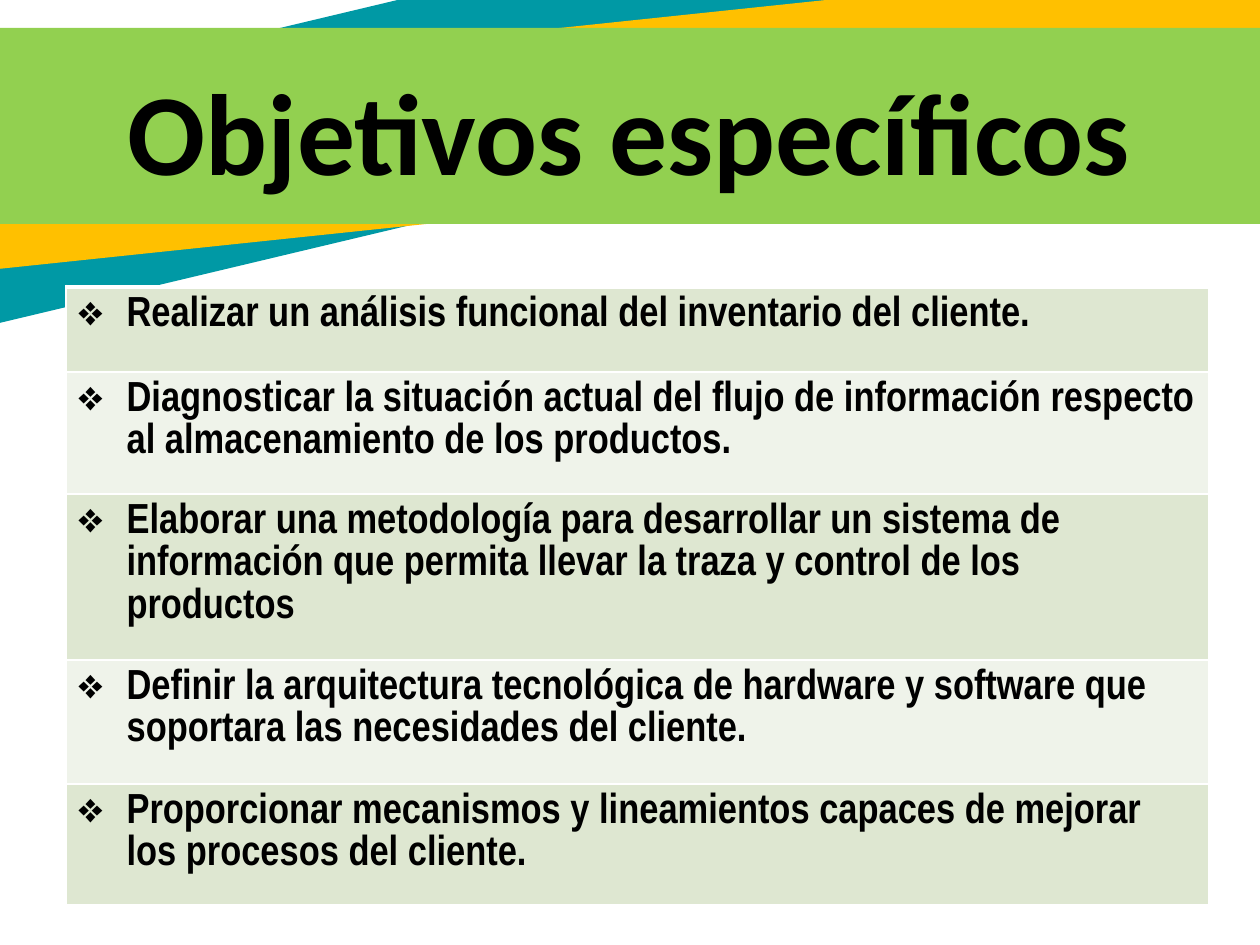
from dataclasses import dataclass, field

from lxml.etree import SubElement
from pptx import Presentation
from pptx.dml.color import RGBColor
from pptx.enum.shapes import MSO_SHAPE
from pptx.enum.text import MSO_ANCHOR, MSO_AUTO_SIZE, PP_ALIGN
from pptx.oxml.ns import qn
from pptx.slide import Slide
from pptx.table import _Cell as Cell
from pptx.util import Emu, Pt

PX = 914400 / 126


@dataclass(frozen=True)
class Theme:
    teal: str = "0099A5"
    amber: str = "FFC000"
    green: str = "92D050"
    white: str = "FFFFFF"
    row_fills: tuple[str, str] = ("DEE7D1", "EFF3EA")
    title_font: dict = field(default_factory=lambda: {
        "name": "Calibri", "size": Pt(66), "bold": True})
    objective_font: dict = field(default_factory=lambda: {
        "name": "Arial Narrow", "size": Pt(24), "bold": True})
    text: str = "000000"


@dataclass(frozen=True)
class Band:
    left: int
    top: int
    width: int
    height: int
    rotation: float
    color: str


@dataclass(frozen=True)
class Objective:
    top: int
    height: int
    text: str
    top_border: int = 1


THEME = Theme()
TABLE_LEFT, TABLE_WIDTH, BULLET_INDENT = 66, 1143, 48

BANDS = (
    Band(-316, -23, 1646, 222, 346.6, THEME.teal),
    Band(-139, 25, 1465, 181, 354, THEME.amber),
    Band(-134, 28, 1465, 196, 0, THEME.green),
)
OBJECTIVES = (
    Objective(287, 87, "Realizar un análisis funcional del inventario del cliente.", 3),
    Objective(372, 126, "Diagnosticar la situación actual del flujo de información "
              "respecto al almacenamiento de los productos."),
    Objective(494, 219, "Elaborar una metodología para desarrollar un sistema de "
              "información que permita llevar la traza y control de los productos"),
    Objective(660, 127, "Definir la arquitectura tecnológica de hardware y software "
              "que soportara las necesidades del cliente."),
    Objective(784, 115, "Proporcionar mecanismos y lineamientos capaces de mejorar "
              "los procesos del cliente."),
)


def px(value: int) -> Emu:
    return Emu(round(value * PX))


def box(left: int, top: int, width: int, height: int) -> tuple[Emu, ...]:
    return px(left), px(top), px(width), px(height)


def apply_format(target: object, values: dict) -> None:
    for name, value in values.items():
        setattr(target, name, value)


def format_font(font: object, values: dict) -> None:
    apply_format(font, values)
    font.color.rgb = RGBColor.from_string(THEME.text)


def draw_band(slide: Slide, band: Band) -> None:
    shape = slide.shapes.add_shape(
        MSO_SHAPE.RECTANGLE, *box(band.left, band.top, band.width, band.height))
    shape.rotation = band.rotation
    shape.shadow.inherit = False
    shape.fill.solid()
    shape.fill.fore_color.rgb = RGBColor.from_string(band.color)
    shape.line.fill.background()


def place_title(slide: Slide, text: str) -> None:
    title = slide.shapes.title
    left, top, width, height = box(115, 54, 1041, 152)
    apply_format(title, {"left": left, "top": top, "width": width, "height": height})
    frame = title.text_frame
    frame.text = text
    apply_format(frame, {"word_wrap": False, "vertical_anchor": MSO_ANCHOR.TOP,
                         "auto_size": MSO_AUTO_SIZE.SHAPE_TO_FIT_TEXT})
    paragraph = frame.paragraphs[0]
    paragraph.alignment = PP_ALIGN.LEFT
    format_font(paragraph.runs[0].font, THEME.title_font)
    # The title placeholder moves in front of the bands.
    slide.shapes._spTree.append(title._element)


def add_borders(cell: Cell, top_width: int) -> None:
    properties = cell._tc.get_or_add_tcPr()
    for side, width in (("L", 1), ("R", 1), ("T", top_width), ("B", 1)):
        line = SubElement(properties, qn(f"a:ln{side}"), w=str(Pt(width)))
        fill = SubElement(line, qn("a:solidFill"))
        SubElement(fill, qn("a:srgbClr"), val=THEME.white)


def draw_objective(slide: Slide, objective: Objective, fill: str) -> None:
    table = slide.shapes.add_table(
        1, 1, *box(TABLE_LEFT, objective.top, TABLE_WIDTH, objective.height)).table
    apply_format(table, {"first_row": False, "horz_banding": False})
    cell = table.cell(0, 0)
    add_borders(cell, objective.top_border)
    cell.fill.solid()
    cell.fill.fore_color.rgb = RGBColor.from_string(fill)
    cell.text = objective.text
    paragraph = cell.text_frame.paragraphs[0]
    properties = paragraph._p.get_or_add_pPr()
    properties.set("marL", str(px(BULLET_INDENT)))
    properties.set("indent", str(-px(BULLET_INDENT)))
    SubElement(properties, qn("a:buChar"), char="❖")
    paragraph.line_spacing = 1.07
    format_font(paragraph.runs[0].font, THEME.objective_font)


def main() -> None:
    presentation = Presentation()
    apply_format(presentation, {"slide_width": px(1260), "slide_height": px(945)})
    slide = presentation.slides.add_slide(presentation.slide_layouts[5])
    for band in BANDS:
        draw_band(slide, band)
    place_title(slide, "Objetivos específicos")
    for index, objective in enumerate(OBJECTIVES):
        draw_objective(slide, objective, THEME.row_fills[index % 2])
    presentation.save("out.pptx")


if __name__ == "__main__":
    main()
